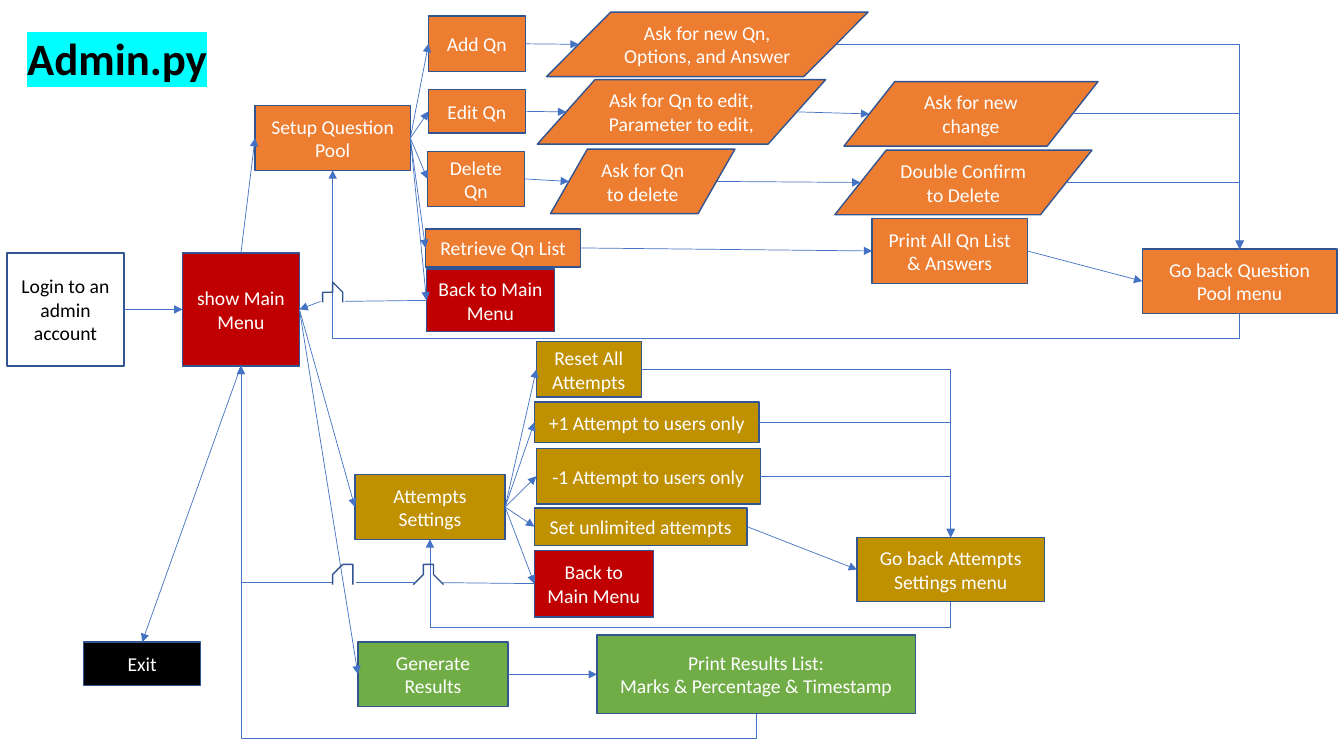
from dataclasses import dataclass
from enum import IntEnum
from typing import NamedTuple

from lxml.etree import SubElement
from pptx import Presentation
from pptx.dml.color import RGBColor
from pptx.enum.shapes import MSO_CONNECTOR as CONN, MSO_SHAPE as SHAPE
from pptx.enum.text import MSO_ANCHOR, MSO_AUTO_SIZE, PP_ALIGN
from pptx.oxml.ns import qn
from pptx.util import Emu, Inches, Pt


@dataclass(frozen=True)
class Theme:
    font: str = "Calibri"
    title_size: int = 32
    node_size: int = 14
    outline: str = "325491"
    wire: str = "4472C4"
    white: str = "FFFFFF"
    black: str = "000000"
    red: str = "C00000"
    gold: str = "BF9000"
    green: str = "70AD47"
    orange: str = "ED7D31"
    highlight: str = "00FFFF"
    outline_width: float = 1
    wire_width: float = 0.5


class Side(IntEnum):
    TOP = 0
    LEFT = 1
    BOTTOM = 2
    RIGHT = 3


class Point(NamedTuple):
    col: float
    row: float


class Node(NamedTuple):
    text: str
    col: float
    row: float
    cols: float
    rows: float
    fill: str
    slanted: bool = False

    def at(self, side: Side) -> Point:
        inset = self.cols / 10 if self.slanted else 0
        mid_col, mid_row = self.col + self.cols / 2, self.row + self.rows / 2
        return {
            Side.TOP: Point(mid_col, self.row),
            Side.LEFT: Point(self.col + inset, mid_row),
            Side.BOTTOM: Point(mid_col, self.row + self.rows),
            Side.RIGHT: Point(self.col + self.cols - inset, mid_row),
        }[side]


class Link(NamedTuple):
    start: str
    end: str
    leave: Side = Side.RIGHT
    arrive: Side = Side.LEFT


T = Theme()
GRID = Inches(0.1)
LOOP_DROP = 2.5
BUMP_COLS, BUMP_ROWS = 2.4, 1.8
BUMP_CURVES = (
    ((1, 1), (0.83, 0.5), (0.67, 0), (0.5, 0)),
    ((0.5, 0), (0.33, 0), (0, 1), (0, 1)),
)
BUMP_STEPS = 12

NODES = {
    "login": Node("Login to an admin account", 0.7, 25.1, 11.6, 11.2, T.white),
    "main": Node("show Main Menu", 18.1, 25.1, 11.6, 11.2, T.red),
    "exit": Node("Exit", 8.3, 63.7, 11.6, 4.3, T.black),
    "pool": Node("Setup Question Pool", 25.3, 10.5, 15.4, 6.4, T.orange),
    "add": Node("Add Qn", 42.5, 1.6, 9.6, 5.5, T.orange),
    "edit": Node("Edit Qn", 42.5, 8.9, 9.6, 4.3, T.orange),
    "delete": Node("Delete Qn", 42.4, 15, 9.6, 5.5, T.orange),
    "retrieve": Node("Retrieve Qn List", 42.2, 22.7, 15.4, 3.8, T.orange),
    "pool_exit": Node("Back to Main Menu", 42.3, 26.7, 12.7, 6.2, T.red),
    "ask_new": Node("Ask for new Qn, Options, and Answer", 54.2, 1.2, 31.9, 6.4, T.orange, True),
    "ask_edit": Node("Ask for Qn to edit,\nParameter to edit,", 53.3, 7.9, 28.6, 6.4, T.orange, True),
    "ask_change": Node("Ask for new change", 83.7, 8.1, 25.2, 6.4, T.orange, True),
    "ask_delete": Node("Ask for Qn to delete", 54.6, 14.8, 18.3, 6.4, T.orange, True),
    "confirm": Node("Double Confirm to Delete", 82.8, 14.9, 25.5, 6.4, T.orange, True),
    "print_list": Node("Print All Qn List & Answers", 86.5, 21.7, 15.4, 6.4, T.orange),
    "pool_back": Node("Go back Question Pool menu", 113.3, 24.7, 19.3, 6.4, T.orange),
    "attempts": Node("Attempts Settings", 35.2, 47.1, 14.9, 6.4, T.gold),
    "reset": Node("Reset All Attempts", 53.2, 33.9, 10.4, 5.5, T.gold),
    "plus": Node("+1 Attempt to users only", 53, 39.9, 22.3, 4, T.gold),
    "minus": Node("-1 Attempt to users only", 53.2, 44.5, 22.2, 5.5, T.gold),
    "unlimited": Node("Set unlimited attempts", 53, 50.4, 21.1, 3.7, T.gold),
    "attempts_exit": Node("Back to Main Menu", 53, 54.6, 11.8, 6.6, T.red),
    "attempts_back": Node("Go back Attempts Settings menu", 85, 53.3, 18.6, 6.4, T.gold),
    "results": Node("Generate Results", 35.5, 63.7, 14.9, 6.4, T.green),
    "print_results": Node("Print Results List:\nMarks & Percentage & Timestamp", 59.2, 63, 31.6, 7.8, T.green),
}
FANS = {
    "main": ("attempts", "results"),
    "pool": ("add", "edit", "delete", "retrieve", "pool_exit"),
    "attempts": ("reset", "plus", "minus", "unlimited", "attempts_exit"),
}
CHAINS = (
    ("login", "main"),
    ("add", "ask_new"),
    ("edit", "ask_edit", "ask_change"),
    ("delete", "ask_delete", "confirm"),
    ("retrieve", "print_list", "pool_back"),
    ("unlimited", "attempts_back"),
    ("results", "print_results"),
)
STRAIGHT = [Link(hub, end) for hub, ends in FANS.items() for end in ends]
STRAIGHT += [Link(*pair) for chain in CHAINS for pair in zip(chain, chain[1:])]
STRAIGHT += [
    Link("main", "exit", Side.BOTTOM, Side.TOP),
    Link("main", "pool", Side.TOP, Side.LEFT),
]
MERGES = {
    "pool_back": ("ask_new", "ask_change", "confirm"),
    "attempts_back": ("reset", "plus", "minus"),
}
LOOPS = {"pool_back": "pool", "attempts_back": "attempts", "print_results": "main"}
POOL_BUMP = Point(31.8, 28.1)
MENU_BUMP, FAN_BUMP = Point(32.9, 56), Point(41.3, 56)


def grid(units: float) -> Emu:
    return Emu(round(units * GRID))


def rgb(value: str) -> RGBColor:
    return RGBColor.from_string(value)


def draw_title(slide, text: str) -> None:
    sp = slide.shapes.title
    sp.left, sp.top, sp.width, sp.height = map(grid, (1.7, 2.5, 35.9, 6.4))
    tf = sp.text_frame
    tf.auto_size = MSO_AUTO_SIZE.NONE
    tf.vertical_anchor = MSO_ANCHOR.TOP
    p = tf.paragraphs[0]
    p.alignment = PP_ALIGN.LEFT
    p.font.name, p.font.size, p.font.bold = T.font, Pt(T.title_size), True
    p.font.color.rgb = rgb(T.black)
    r = p.add_run()
    r.text = text
    mark = SubElement(r._r.get_or_add_rPr(), qn("a:highlight"))
    SubElement(mark, qn("a:srgbClr"), val=T.highlight)


def draw_node(slide, node: Node):
    kind = SHAPE.FLOWCHART_DATA if node.slanted else SHAPE.FLOWCHART_PROCESS
    sp = slide.shapes.add_shape(kind, *map(grid, node[1:5]))
    sp.shadow.inherit = False
    sp.fill.solid()
    sp.fill.fore_color.rgb = rgb(node.fill)
    sp.line.color.rgb, sp.line.width = rgb(T.outline), Pt(T.outline_width)
    tf = sp.text_frame
    tf.text, tf.word_wrap = node.text, True
    tf.vertical_anchor = MSO_ANCHOR.MIDDLE
    for p in tf.paragraphs:
        p.alignment = PP_ALIGN.CENTER
        p.font.name, p.font.size = T.font, Pt(T.node_size)
        p.font.color.rgb = rgb(T.black if node.fill == T.white else T.white)
    return sp


def draw_wire(slide, start: Point, end: Point, kind=CONN.STRAIGHT, arrow: bool = True):
    wire = slide.shapes.add_connector(kind, *map(grid, (*start, *end)))
    wire.line.color.rgb, wire.line.width = rgb(T.wire), Pt(T.wire_width)
    props = wire._element.spPr
    if arrow:
        SubElement(props.find(qn("a:ln")), qn("a:tailEnd"), type="triangle")
    SubElement(props, qn("a:effectLst"))
    return wire


def draw_link(slide, shapes: dict, link: Link) -> None:
    start, end = NODES[link.start], NODES[link.end]
    wire = draw_wire(slide, start.at(link.leave), end.at(link.arrive))
    if not start.slanted:
        wire.begin_connect(shapes[link.start], link.leave)
    if not end.slanted:
        wire.end_connect(shapes[link.end], link.arrive)


def draw_corner(slide, start: Point, end: Point) -> None:
    wire = draw_wire(slide, start, end, CONN.ELBOW)
    wire._element.spPr.find(qn("a:prstGeom")).set("prst", "bentConnector2")


def draw_loop(slide, start: Point, end: Point) -> None:
    width, height = start.col - end.col, start.row - end.row
    left = (start.col + end.col - height) / 2
    top = (start.row + end.row - width) / 2
    wire = draw_wire(slide, Point(left, top), Point(left + height, top + width), CONN.ELBOW)
    props = wire._element.spPr
    frame = props.find(qn("a:xfrm"))
    frame.set("rot", "5400000")
    frame.set("flipH", "1")
    guides = props.find(qn("a:prstGeom")).get_or_add_avLst()
    SubElement(guides, qn("a:gd"), name="adj1", fmla=f"val {round(-LOOP_DROP / height * 100000)}")


def bezier(curve: tuple, t: float) -> tuple[float, float]:
    weights = ((1 - t) ** 3, 3 * t * (1 - t) ** 2, 3 * t * t * (1 - t), t ** 3)
    return tuple(sum(w * c for w, c in zip(weights, axis)) for axis in zip(*curve))


def draw_bump(slide, corner: Point) -> tuple[Point, Point]:
    points = [
        (corner.col + x * BUMP_COLS, corner.row + y * BUMP_ROWS)
        for curve in BUMP_CURVES
        for x, y in (bezier(curve, i / BUMP_STEPS) for i in range(BUMP_STEPS + 1))
    ]
    outline = slide.shapes.build_freeform(*points[0], scale=GRID)
    outline.add_line_segments(points[1:], close=False)
    sp = outline.convert_to_shape()
    sp.shadow.inherit = False
    sp.fill.background()
    sp.line.color.rgb, sp.line.width = rgb(T.outline), Pt(T.outline_width)
    return Point(*points[-1]), Point(*points[0])


def main() -> None:
    prs = Presentation()
    prs.slide_width, prs.slide_height = Inches(13.33), Inches(7.5)
    slide = prs.slides.add_slide(prs.slide_layouts[5])
    draw_title(slide, "Admin.py")
    shapes = {key: draw_node(slide, node) for key, node in NODES.items()}
    for link in STRAIGHT:
        draw_link(slide, shapes, link)
    for end, starts in MERGES.items():
        for start in starts:
            draw_corner(slide, NODES[start].at(Side.RIGHT), NODES[end].at(Side.TOP))
    for start, end in LOOPS.items():
        draw_loop(slide, NODES[start].at(Side.BOTTOM), NODES[end].at(Side.BOTTOM))
    menu = NODES["main"]
    left, right = draw_bump(slide, POOL_BUMP)
    draw_wire(slide, NODES["pool_exit"].at(Side.LEFT), right, arrow=False)
    draw_wire(slide, left, menu.at(Side.RIGHT))
    menu_left, menu_right = draw_bump(slide, MENU_BUMP)
    fan_left, fan_right = draw_bump(slide, FAN_BUMP)
    draw_wire(slide, NODES["attempts_exit"].at(Side.LEFT), fan_right, arrow=False)
    draw_wire(slide, fan_left, menu_right, arrow=False)
    draw_corner(slide, menu_left, menu.at(Side.BOTTOM))
    prs.save("out.pptx")


if __name__ == "__main__":
    main()
